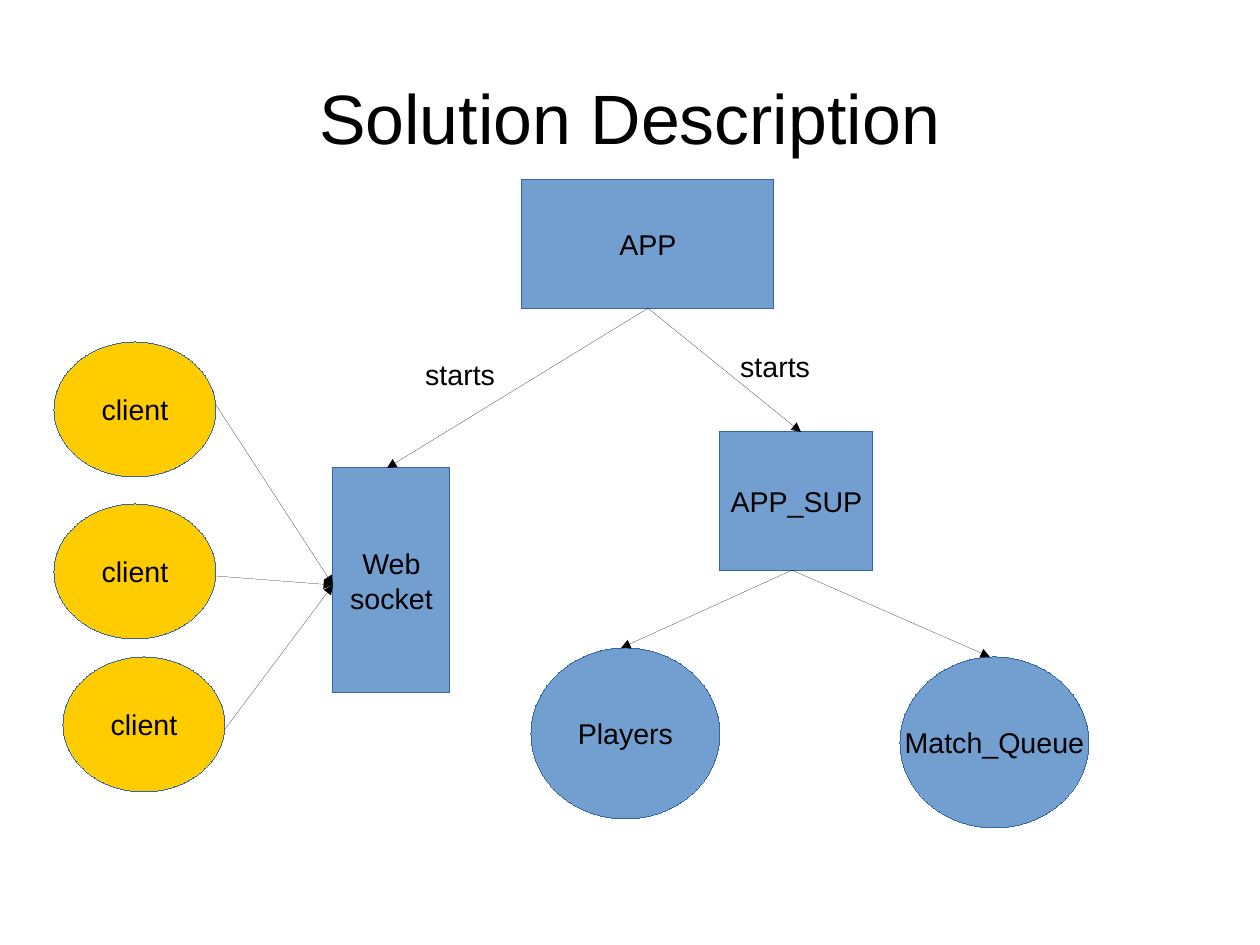
import dataclasses
import typing

import lxml.etree
import pptx
import pptx.dml.color
import pptx.enum.shapes
import pptx.enum.text
import pptx.oxml.ns
import pptx.util

PX = 3600
FONT = "Arial"
BLACK = pptx.dml.color.RGBColor(0x00, 0x00, 0x00)
BLUE = pptx.dml.color.RGBColor(0x72, 0x9F, 0xCF)
NAVY = pptx.dml.color.RGBColor(0x34, 0x65, 0xA4)
GOLD = pptx.dml.color.RGBColor(0xFF, 0xCC, 0x00)

KIND = pptx.enum.shapes.MSO_SHAPE
ALIGN = pptx.enum.text.PP_ALIGN
ANCHOR = pptx.enum.text.MSO_ANCHOR


@dataclasses.dataclass(frozen=True)
class Node:
    text: str
    kind: KIND
    left: int
    top: int
    width: int
    height: int
    fill: pptx.dml.color.RGBColor = BLUE


@dataclasses.dataclass(frozen=True)
class Label:
    text: str
    left: int
    top: int
    width: int
    height: int
    size: int = 18
    align: ALIGN = ALIGN.LEFT
    anchor: ANCHOR = ANCHOR.TOP
    inset: tuple[int, int] = (25, 13)


class Arrow(typing.NamedTuple):
    start: tuple[int, int]
    end: tuple[int, int]


NODES = [
    Node("Web\nsocket", KIND.FLOWCHART_PROCESS, 740, 1040, 260, 500),
    Node("APP_SUP", KIND.FLOWCHART_PROCESS, 1600, 960, 340, 307),
    Node("Players", KIND.OVAL, 1180, 1440, 420, 380),
    Node("Match_Queue", KIND.OVAL, 2000, 1460, 420, 380),
    *(
        Node("client", KIND.OVAL, left, top, 360, 300, GOLD)
        for left, top in [(120, 760), (120, 1120), (140, 1460)]
    ),
    Node("APP", KIND.RECTANGLE, 1160, 400, 560, 285),
]

SOCKET = (740, 1300)
SUPER = (1760, 1267)
APP = (1440, 685)
ARROWS = [
    Arrow((480, 900), SOCKET),
    Arrow((480, 1280), SOCKET),
    Arrow((500, 1620), SOCKET),
    Arrow(SUPER, (1380, 1440)),
    Arrow(SUPER, (2200, 1460)),
    Arrow(APP, (860, 1040)),
    Arrow(APP, (1780, 960)),
]

LABELS = [
    Label("Solution Description", 140, 84, 2520, 351, 44,
          ALIGN.CENTER, ANCHOR.MIDDLE, (0, 0)),
    Label("starts", 920, 780, 500, 97),
    Label("starts", 1620, 763, 500, 97),
]


def write(frame, text: str, size: int, align: ALIGN, anchor: ANCHOR,
          wrap: bool, inset: tuple[int, int]) -> None:
    frame.text = text
    frame.word_wrap = wrap
    frame.vertical_anchor = anchor
    frame.margin_left = frame.margin_right = inset[0] * PX
    frame.margin_top = frame.margin_bottom = inset[1] * PX
    for para in frame.paragraphs:
        para.alignment = align
        para.font.name = FONT
        para.font.size = pptx.util.Pt(size)
        para.font.color.rgb = BLACK


def thin(shape, color: pptx.dml.color.RGBColor) -> None:
    shape.line.color.rgb = color
    shape.element.remove(shape.element.find(pptx.oxml.ns.qn("p:style")))


def draw_node(slide, node: Node) -> None:
    shape = slide.shapes.add_shape(
        node.kind, node.left * PX, node.top * PX,
        node.width * PX, node.height * PX)
    shape.shadow.inherit = False
    shape.fill.solid()
    shape.fill.fore_color.rgb = node.fill
    thin(shape, NAVY)
    write(shape.text_frame, node.text, 18, ALIGN.CENTER, ANCHOR.MIDDLE,
          False, (25, 13))


def draw_arrow(slide, arrow: Arrow) -> None:
    line = slide.shapes.add_connector(
        pptx.enum.shapes.MSO_CONNECTOR.STRAIGHT,
        *(value * PX for value in arrow.start + arrow.end))
    thin(line, BLACK)
    qn = pptx.oxml.ns.qn
    props = line.element.spPr
    lxml.etree.SubElement(
        props.find(qn("a:ln")), qn("a:tailEnd"), type="triangle")
    lxml.etree.SubElement(props, qn("a:effectLst"))


def draw_label(slide, label: Label) -> None:
    box = slide.shapes.add_textbox(
        label.left * PX, label.top * PX,
        label.width * PX, label.height * PX)
    write(box.text_frame, label.text, label.size, label.align, label.anchor,
          True, label.inset)


def main() -> None:
    deck = pptx.Presentation()
    deck.slide_width = 2800 * PX
    deck.slide_height = 2100 * PX
    slide = deck.slides.add_slide(deck.slide_layouts[6])
    for node in NODES:
        draw_node(slide, node)
    for arrow in ARROWS:
        draw_arrow(slide, arrow)
    for label in LABELS:
        draw_label(slide, label)
    deck.save("out.pptx")


if __name__ == "__main__":
    main()
